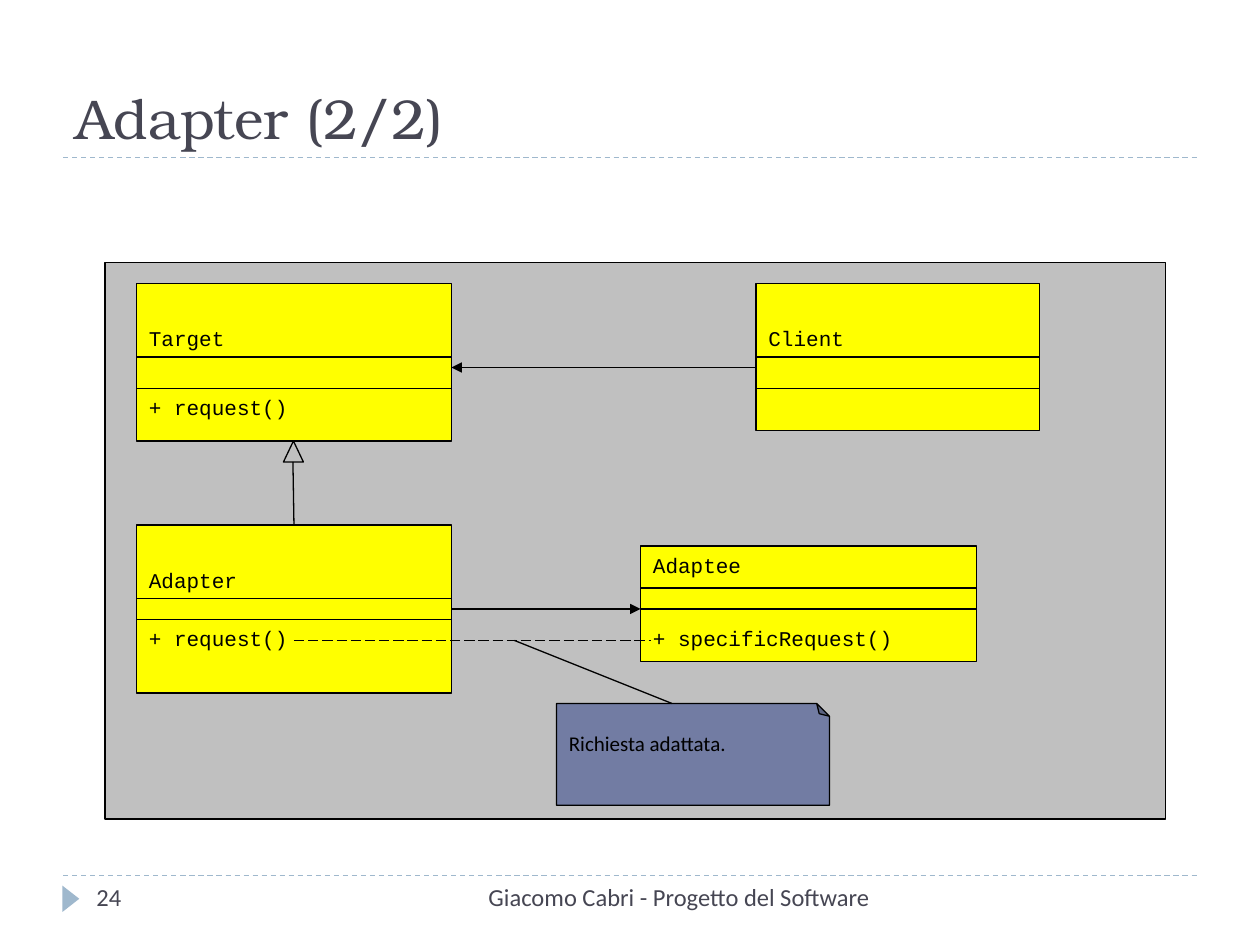
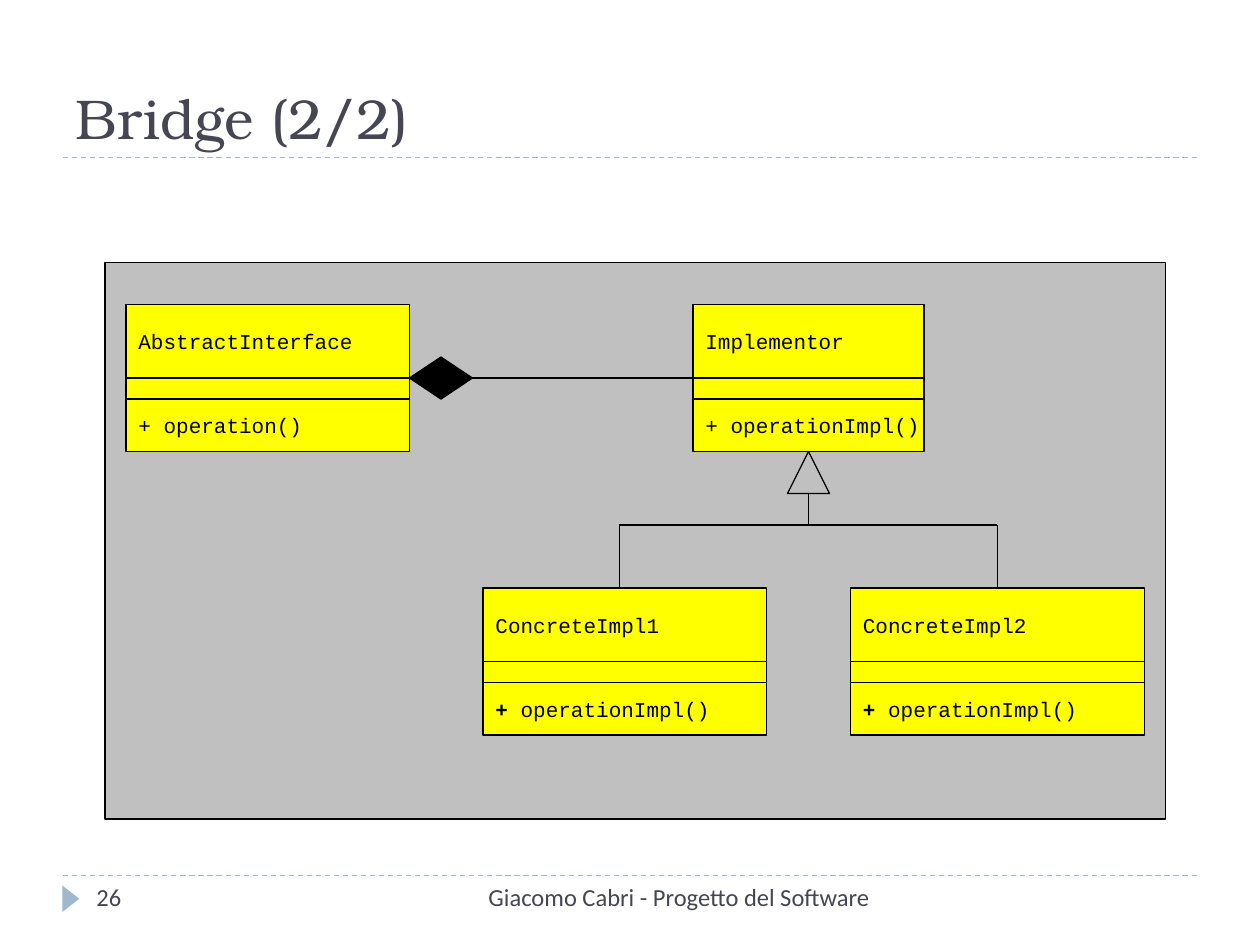
"""Builds two slides with the Adapter and Bridge class diagrams."""
import pptx
import pptx.dml.color
import pptx.enum.dml
import pptx.enum.shapes
import pptx.enum.text
import pptx.oxml.ns
import pptx.util
import lxml.etree

PX = 7620
HUES = {"ink": "000000", "text": "464653", "band": "9FB8CD", "frame": "C0C0C0",
        "class": "FFFF00", "note": "727CA3"}
MONO, SANS, SERIF = "Courier New", "Calibri", "TeX Gyre Bonum"
KIND = pptx.enum.shapes.MSO_SHAPE
DASH = pptx.enum.dml.MSO_LINE
ALIGN = pptx.enum.text.PP_ALIGN
ANCHOR = pptx.enum.text.MSO_ANCHOR
RGB = {key: pptx.dml.color.RGBColor.from_string(hue) for key, hue in HUES.items()}


def put(slide, kind, area, fill=None, edge="ink", runs=(), font=MONO, size=12,
        hue="ink", anchor=ANCHOR.TOP, align=ALIGN.LEFT):
    """Add a preset shape, a text box (kind None) or fill the title (kind "title")."""
    spot = [v * PX for v in area]
    if kind == "title":
        shape = slide.shapes.title
        shape.left, shape.top, shape.width, shape.height = spot
    elif kind is None:
        shape = slide.shapes.add_textbox(*spot)
    else:
        shape = slide.shapes.add_shape(kind, *spot)
        shape.shadow.inherit = False
        if fill:
            shape.fill.solid()
            shape.fill.fore_color.rgb = RGB[fill]
        else:
            shape.fill.background()
        if edge:
            shape.line.color.rgb = RGB[edge]
            shape.line.width = pptx.util.Pt(0.75)
        else:
            shape.line.fill.background()
    if runs:
        frame = shape.text_frame
        frame.word_wrap = True
        frame.margin_right = 0 if kind == KIND.RECTANGLE else 12 * PX
        frame.vertical_anchor = anchor
        par = frame.paragraphs[0]
        par.alignment = align
        for words, bold in runs:
            run = par.add_run()
            run.text = words
            run.font.name = font
            run.font.size = pptx.util.Pt(size)
            run.font.bold = bold
            run.font.color.rgb = RGB[hue]
    return shape


def link(slide, x1, y1, x2, y2, hue="ink", dash=None, arrow=False):
    """Add a straight line, with an arrowhead at its end if asked."""
    wire = slide.shapes.add_connector(pptx.enum.shapes.MSO_CONNECTOR.STRAIGHT,
                                      x1 * PX, y1 * PX, x2 * PX, y2 * PX)
    wire.line.color.rgb = RGB[hue]
    wire.line.width = pptx.util.Pt(0.75)
    if dash:
        wire.line.dash_style = dash
    props = wire._element.spPr
    if arrow:
        tip = lxml.etree.SubElement(props.find(pptx.oxml.ns.qn("a:ln")),
                                    pptx.oxml.ns.qn("a:tailEnd"))
        tip.set("type", "triangle")
    lxml.etree.SubElement(props, pptx.oxml.ns.qn("a:effectLst"))
    return wire


deck = pptx.Presentation()
deck.slide_width, deck.slide_height = 1200 * PX, 900 * PX

pages = []
for title, number in (("Adapter (2/2)", "24"), ("Bridge (2/2)", "26")):
    page = deck.slides.add_slide(deck.slide_layouts[5])
    pages.append(page)
    for y in (834, 150):
        link(page, 60, y, 1140, y, "band", DASH.DASH)
    mark = put(page, KIND.ISOSCELES_TRIANGLE, (55, 848, 25, 16), "band", None)
    mark.rotation = 90
    put(page, "title", (60, 30, 1080, 120), runs=[(title, False)], font=SERIF,
        size=32, hue="text", anchor=ANCHOR.BOTTOM)
    put(page, None, (380, 834, 460, 48),
        runs=[("Giacomo Cabri - Progetto del Software", False)],
        font=SANS, size=14, hue="text", align=ALIGN.RIGHT)
    put(page, None, (80, 834, 260, 48), runs=[(number, False)],
        font=SANS, size=14, hue="text")
    put(page, KIND.RECTANGLE, (100, 250, 1010, 530), "frame")

page = pages[0]
boxes = {}
for name, x, y, w, h, head, cuts, call, low in (
        ("Target", 130, 270, 300, 150, 70, (70, 100), "+ request()", 100),
        ("Client", 720, 270, 270, 140, 70, (70, 100), None, 0),
        ("Adapter", 130, 500, 300, 160, 70, (70, 90), "+ request()", 90),
        ("Adaptee", 610, 520, 320, 110, 36, (40, 60), "+ specificRequest()", 70)):
    boxes[name] = put(page, KIND.RECTANGLE, (x, y, w, h), "class")
    put(page, None, (x, y, w, head), runs=[(name, False)], anchor=ANCHOR.BOTTOM)
    for cut in cuts:
        link(page, x, y + cut, x + w, y + cut)
    if call:
        put(page, None, (x, y + low, w, 36), runs=[(call, False)])

link(page, 720, 350, 430, 350, arrow=True)
put(page, KIND.ISOSCELES_TRIANGLE, (270, 420, 19, 20))
link(page, 279, 440, 280, 500).end_connect(boxes["Adapter"], 0)
link(page, 430, 580, 610, 580, arrow=True).begin_connect(boxes["Adapter"], 3)
link(page, 280, 610, 620, 610, dash=DASH.LONG_DASH)
note = put(page, KIND.FOLDED_CORNER, (530, 670, 260, 97), "note")
shape = note._element.spPr
shape.xfrm.set("flipV", "1")
fold = lxml.etree.SubElement(shape.find(".//" + pptx.oxml.ns.qn("a:avLst")),
                             pptx.oxml.ns.qn("a:gd"))
fold.set("name", "adj")
fold.set("fmla", "val 12500")
put(page, None, (530, 690, 260, 36), runs=[("Richiesta adattata.", False)], font=SANS)
link(page, 490, 610, 640, 670)

page = pages[1]
heads = {}
for name, x, y, w, call, bold in (
        ("Implementor", 660, 290, 220, "operationImpl()", False),
        ("ConcreteImpl1", 460, 560, 270, "operationImpl()", True),
        ("ConcreteImpl2", 810, 560, 280, "operationImpl()", True),
        ("AbstractInterface", 120, 290, 270, "operation()", False)):
    heads[name] = put(page, KIND.RECTANGLE, (x, y, w, 70), "class",
                      runs=[(name, False)], anchor=ANCHOR.MIDDLE)
    put(page, KIND.RECTANGLE, (x, y + 70, w, 20), "class")
    put(page, KIND.RECTANGLE, (x, y + 90, w, 50), "class",
        runs=[("+ ", bold), (call, False)], anchor=ANCHOR.MIDDLE)

put(page, KIND.ISOSCELES_TRIANGLE, (750, 430, 40, 40))
link(page, 590, 500, 950, 500)
link(page, 590, 560, 590, 500)
link(page, 950, 560, 950, 500).begin_connect(heads["ConcreteImpl2"], 0)
link(page, 770, 500, 770, 470)
put(page, KIND.DIAMOND, (390, 340, 60, 40), "ink")
link(page, 440, 360, 700, 360)

deck.save("out.pptx")
